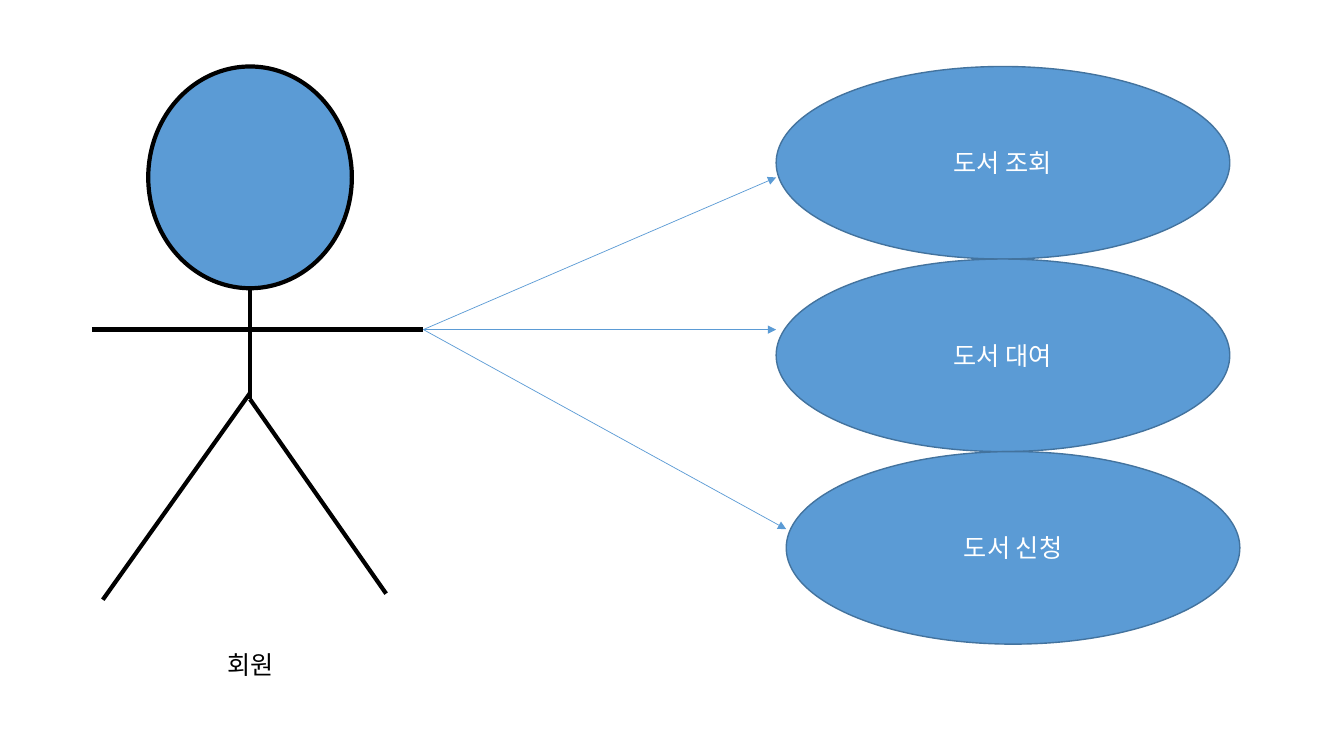
from lxml import etree
from pptx import Presentation
from pptx.dml.color import RGBColor
from pptx.enum.shapes import MSO_CONNECTOR, MSO_SHAPE
from pptx.enum.text import MSO_ANCHOR, MSO_AUTO_SIZE, PP_ALIGN
from pptx.oxml.ns import qn
from pptx.util import Inches, Pt

OVAL = MSO_SHAPE.OVAL
STRAIGHT = MSO_CONNECTOR.STRAIGHT
MIDDLE = MSO_ANCHOR.MIDDLE
GROW = MSO_AUTO_SIZE.SHAPE_TO_FIT_TEXT
CENTER = PP_ALIGN.CENTER
BLUE = RGBColor(0x5B, 0x9B, 0xD5)
NAVY = RGBColor(0x43, 0x73, 0x9E)
BLACK = RGBColor(0, 0, 0)
WHITE = RGBColor(255, 255, 255)
FONT = "Noto Sans CJK KR"

deck = Presentation()
deck.slide_width = Inches(13.33)
deck.slide_height = Inches(7.5)
COL = deck.slide_width / 100
ROW = deck.slide_height / 100
slide = deck.slides.add_slide(deck.slide_layouts[6])


def label(shape, text, color):
    frame = shape.text_frame
    frame.word_wrap = True
    frame.text = text
    para = frame.paragraphs[0]
    para.alignment = CENTER
    font = para.runs[0].font
    font.size = Pt(18)
    font.name = FONT
    font.color.rgb = color
    east = etree.SubElement(para.runs[0].font._element, qn("a:ea"))
    east.set("typeface", FONT)


def link(shapes, start, end, color, width):
    (x1, y1), (x2, y2) = start, end
    line = shapes.add_connector(STRAIGHT, int(x1 * COL), int(y1 * ROW),
                                int(x2 * COL), int(y2 * ROW))
    line.line.color.rgb = color
    line.line.width = Pt(width)
    etree.SubElement(line._element.spPr, qn("a:effectLst"))
    return line


TOP = 8.8
TALL = 25.47
cases = [("도서 조회", 57.75), ("도서 대여", 57.75), ("도서 신청", 58.5)]
for i, (name, left) in enumerate(cases):
    case = slide.shapes.add_shape(OVAL, int(left * COL), int((TOP + i * TALL) * ROW),
                                  int(33.75 * COL), int(TALL * ROW))
    case.shadow.inherit = False
    case.fill.solid()
    case.fill.fore_color.rgb = BLUE
    case.line.color.rgb = NAVY
    case.line.width = Pt(1)
    case.text_frame.vertical_anchor = MIDDLE
    label(case, name, WHITE)

actor = slide.shapes.add_group_shape().shapes
head = actor.add_shape(OVAL, int(11.03 * COL), int(TOP * ROW),
                       int(15.15 * COL), int(29.33 * ROW))
head.shadow.inherit = False
head.fill.solid()
head.fill.fore_color.rgb = BLUE
head.line.color.rgb = BLACK
head.line.width = Pt(3)

SPINE = 18.6
HAND = (31.5, 43.6)
limbs = [
    ((6.83, 43.6), HAND),
    ((SPINE, 38.13), (SPINE, 52.8)),
    ((SPINE, 52.8), (28.73, 78.53)),
    ((SPINE, 52), (7.65, 79.33)),
]
for start, end in limbs:
    link(actor, start, end, BLACK, 3)

title = slide.shapes.add_textbox(int(8.78 * COL), int(85.2 * ROW),
                                 int(19.73 * COL), int(5.33 * ROW))
label(title, "회원", BLACK)
title.text_frame.auto_size = GROW

for goal in [(57.75, 23.47), (58.5, 70), (57.75, 43.6)]:
    arrow = link(slide.shapes, HAND, goal, BLUE, 0.5)
    tip = etree.SubElement(arrow.line._get_or_add_ln(), qn("a:tailEnd"))
    tip.set("type", "triangle")

deck.save("out.pptx")
